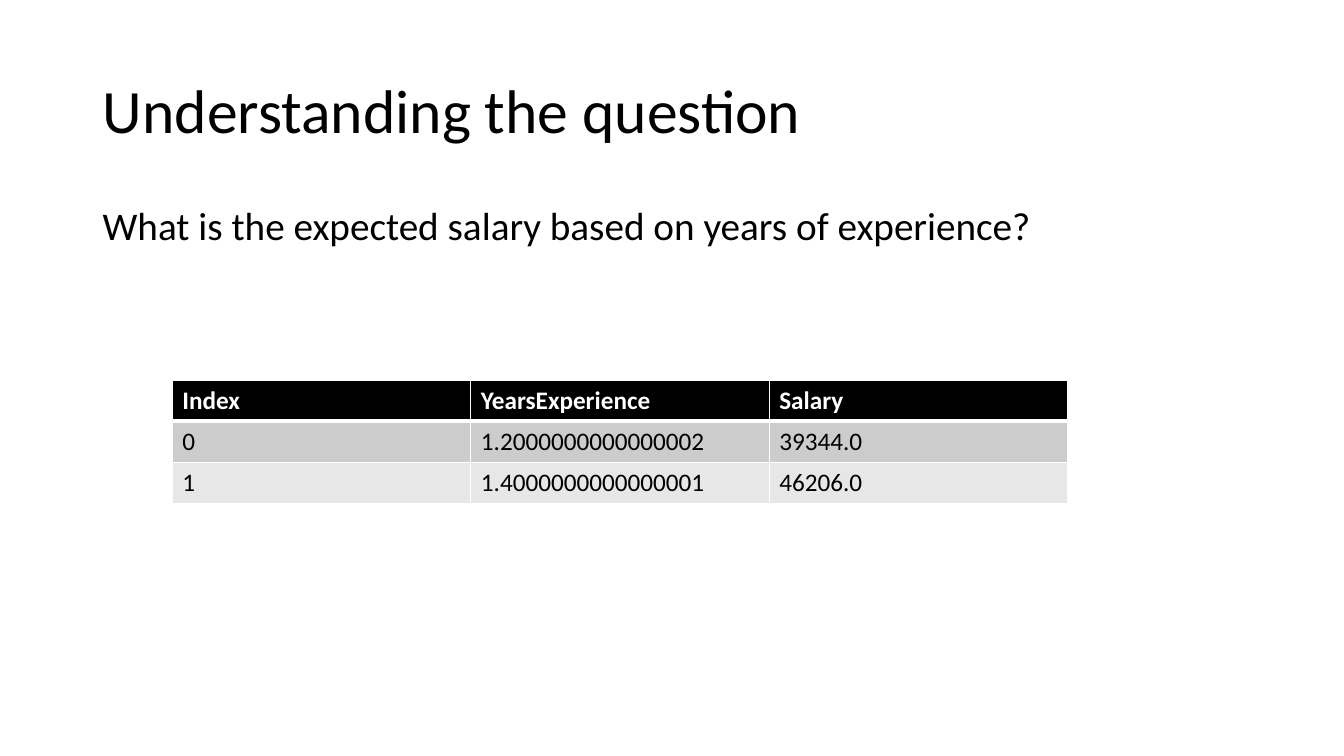
from lxml.etree import SubElement
from pptx import Presentation
from pptx.dml.color import RGBColor
from pptx.enum.text import MSO_ANCHOR, PP_ALIGN
from pptx.oxml.ns import qn
from pptx.util import Inches, Pt

COLORS = {"text": "000000", "header": "000000", "line": "FFFFFF",
          "odd": "CCCCCC", "even": "E7E7E7"}
LEFT, WIDTH = 0.92, 11.5
COL_W, ROW_H = 2.96, 0.41


def add_text(tf, text, size, color, bold=False):
    p = tf.paragraphs[0]
    p.alignment = PP_ALIGN.LEFT
    r = p.add_run()
    r.text = text
    r.font.name = "Calibri"
    r.font.size = Pt(size)
    r.font.bold = bold
    r.font.color.rgb = RGBColor.from_string(COLORS[color])
    return p


def add_border(cell, side, width):
    ln = SubElement(cell._tc.get_or_add_tcPr(), qn(f"a:ln{side}"), w=str(Pt(width)))
    fill = SubElement(ln, qn("a:solidFill"))
    SubElement(fill, qn("a:srgbClr"), val=COLORS["line"])


prs = Presentation()
prs.slide_width, prs.slide_height = Inches(13.33), Inches(7.5)
s = prs.slides.add_slide(prs.slide_layouts[5])

# Title
title = s.shapes.title
title.left, title.top = Inches(LEFT), Inches(0.4)
title.width, title.height = Inches(WIDTH), Inches(1.45)
title.text_frame.vertical_anchor = MSO_ANCHOR.MIDDLE
p = add_text(title.text_frame, "Understanding the question", 44, "text")
p.line_spacing = 0.9

# Question
question = s.shapes.add_textbox(Inches(LEFT), Inches(2), Inches(WIDTH), Inches(4.76))
question.text_frame.word_wrap = True
p = add_text(question.text_frame,
             "What is the expected salary based on years of experience?", 28, "text")
p.line_spacing = 0.9
p.space_before = Pt(10)

# Salary table
rows = [("Index", "YearsExperience", "Salary"),
        ("0", "1.2000000000000002", "39344.0"),
        ("1", "1.4000000000000001", "46206.0")]
table = s.shapes.add_table(len(rows), len(rows[0]), Inches(1.71), Inches(3.77),
                           Inches(COL_W * len(rows[0])), Inches(ROW_H * len(rows))).table
for col in table.columns:
    col.width = Inches(COL_W)
for i, values in enumerate(rows):
    table.rows[i].height = Inches(ROW_H)
    header = i == 0
    for j, value in enumerate(values):
        cell = table.cell(i, j)
        add_text(cell.text_frame, value, 18, "line" if header else "text", header)
        for side in "LRTB":
            thick = (header and side == "B") or (i == 1 and side == "T")
            add_border(cell, side, 3 if thick else 1)
        cell.fill.solid()
        band = ("header", "odd", "even")[i]
        cell.fill.fore_color.rgb = RGBColor.from_string(COLORS[band])

prs.save("out.pptx")
